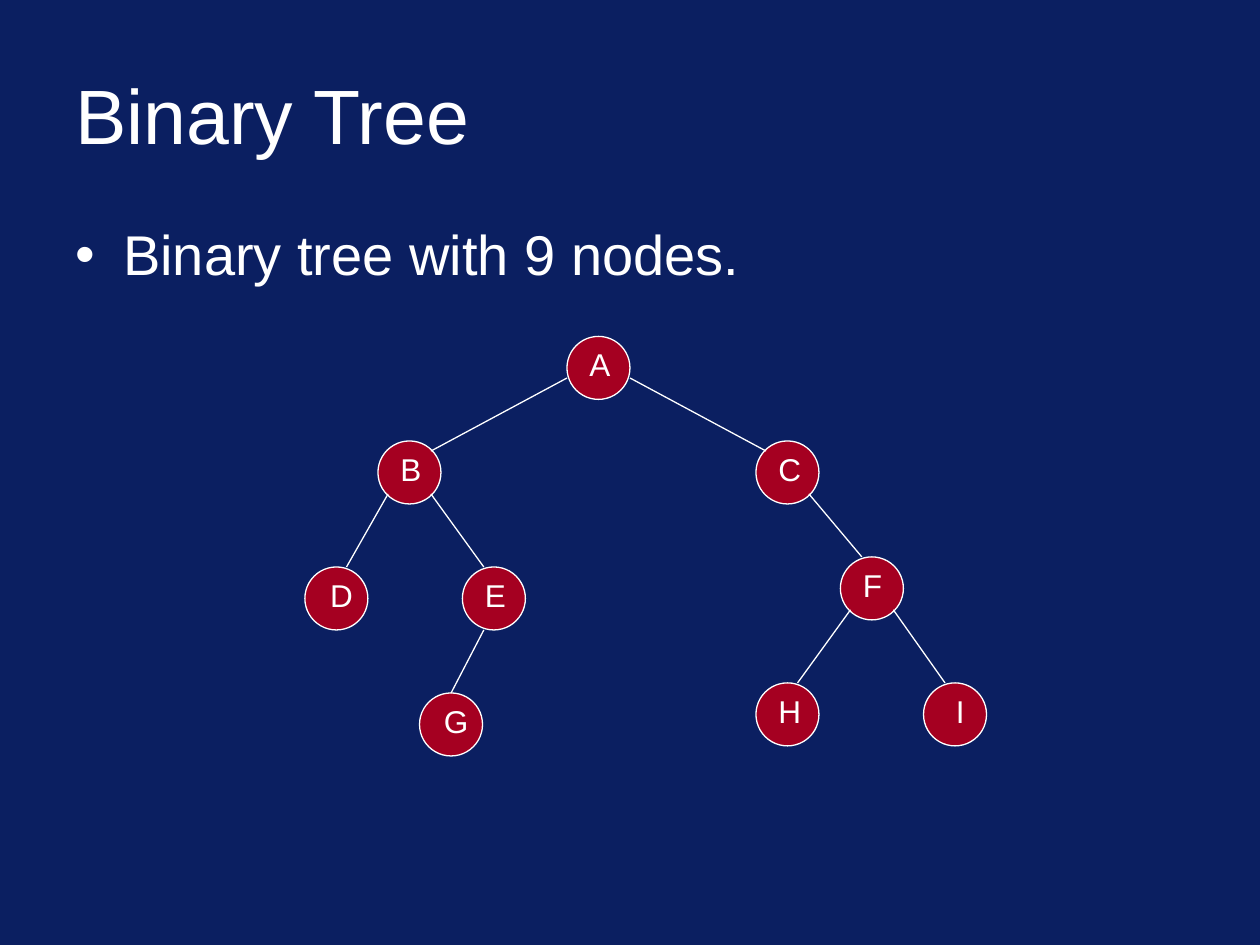
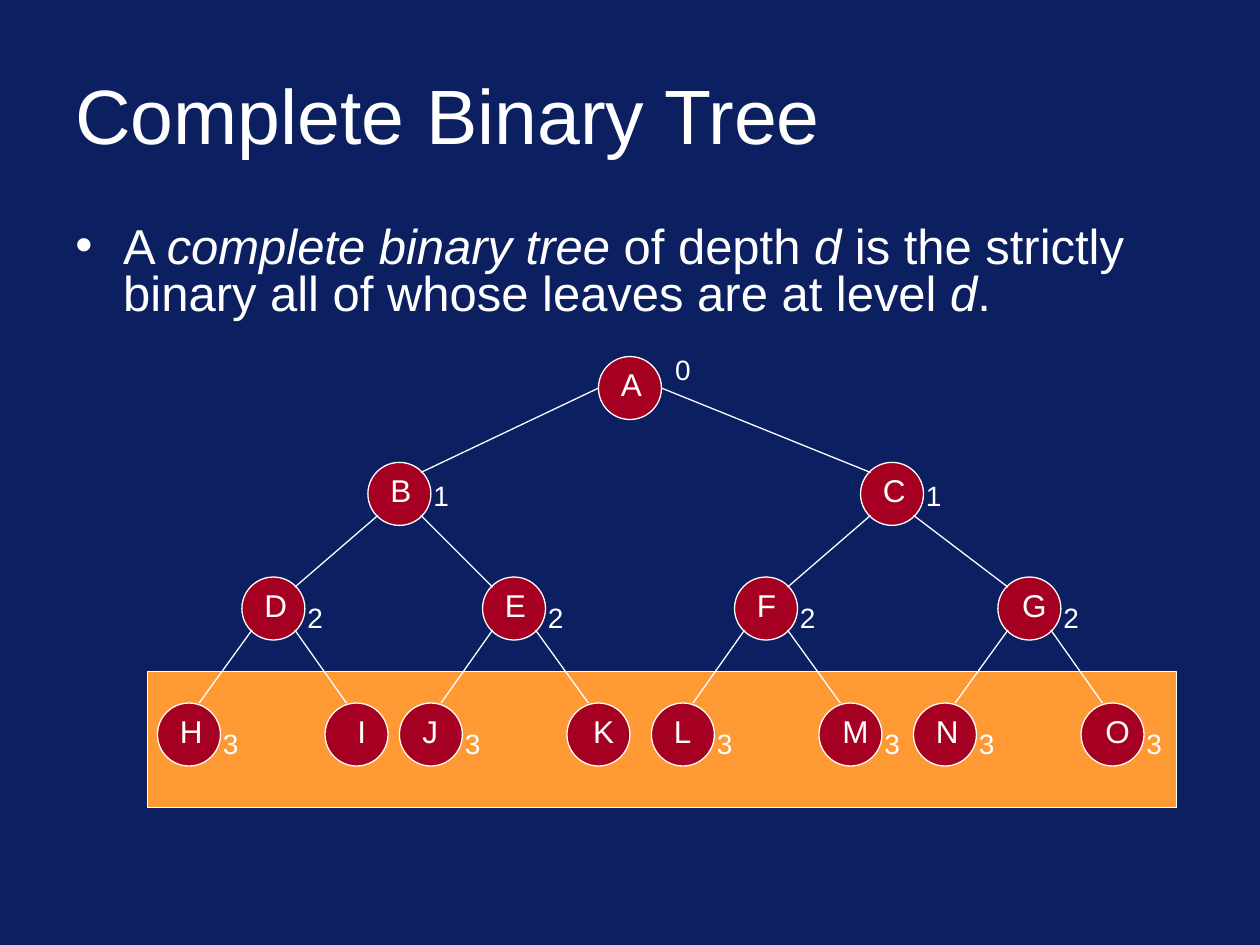
from dataclasses import dataclass

from lxml import etree
from pptx import Presentation
from pptx.dml.color import RGBColor
from pptx.enum.shapes import MSO_CONNECTOR, MSO_SHAPE
from pptx.enum.text import MSO_ANCHOR, MSO_AUTO_SIZE, PP_ALIGN
from pptx.oxml.ns import qn
from pptx.util import Inches, Pt


@dataclass(frozen=True)
class Theme:
    background: RGBColor = RGBColor(0x0B, 0x1F, 0x61)
    ink: RGBColor = RGBColor(0xFF, 0xFF, 0xFF)
    node: RGBColor = RGBColor(0xA5, 0x00, 0x21)
    band: RGBColor = RGBColor(0xFF, 0x99, 0x33)
    font: str = "Arial"
    title_size: int = 44
    letter_size: int = 18
    depth_size: int = 16
    line_width: float = 0.75


THEME = Theme()
NODE_SIZE = 0.5

# Where an edge to a left child leaves its parent and enters the child,
# measured from each node's top left corner; right children mirror it.
SHOULDER = (0.42, 0.08)
FOOT = (0.08, 0.42)
CROWN = (0.33, 0)

# Bullet: runs of (text, italic). Nodes: letter -> (left, top, depth).
# Edges: (parent, child, side).
BINARY_TREE = {
    "title": "Binary Tree",
    "bullet": [("Binary tree with 9 nodes.", False)],
    "bullet_style": {"size": 32, "height": 0.58, "spacing": 0.9, "before": 8},
    "nodes": {
        "A": (4.5, 2.67, 0),
        "B": (3, 3.5, 1), "C": (6, 3.5, 1),
        "D": (2.42, 4.5, 2), "E": (3.67, 4.5, 2), "F": (6.67, 4.42, 2),
        "G": (3.33, 5.5, 3), "H": (6, 5.42, 3), "I": (7.33, 5.42, 3),
    },
    "edges": [
        ("A", "B", "left"), ("A", "C", "right"),
        ("B", "D", "left"), ("B", "E", "right"), ("E", "G", "left"),
        ("C", "F", "right"), ("F", "H", "left"), ("F", "I", "right"),
    ],
    "anchors": [((0, 0.33), SHOULDER), (FOOT, CROWN), (FOOT, CROWN)],
    "special_anchors": {("E", "G"): ((0.17, 0.5), (0.25, 0))},
    "wide_letters": "DGI",
}

# (row top, letters with their lefts), from the root down
COMPLETE_ROWS = [
    (2.83, {"A": 4.75}),
    (3.67, {"B": 2.92, "C": 6.83}),
    (4.58, {"D": 1.92, "E": 3.83, "F": 5.83, "G": 7.92}),
    (5.58, {"H": 1.25, "I": 2.58, "J": 3.17, "K": 4.5,
            "L": 5.17, "M": 6.5, "N": 7.25, "O": 8.58}),
]
COMPLETE_LETTERS = "ABCDEFGHIJKLMNO"

COMPLETE_TREE = {
    "title": "Complete Binary Tree",
    "bullet": [
        ("A ", False), ("complete binary tree", True), (" of depth ", False),
        ("d", True),
        (" is the strictly binary all of whose leaves are at level ", False),
        ("d", True), (".", False),
    ],
    "bullet_style": {"size": 28, "height": 0.92, "spacing": 0.8, "before": 7},
    "leaf_band": (1.17, 5.33, 8.17, 1.08),
    "nodes": {
        letter: (left, top, depth)
        for depth, (top, row) in enumerate(COMPLETE_ROWS)
        for letter, left in row.items()
    },
    "edges": [
        (COMPLETE_LETTERS[(i - 1) // 2], child, "left" if i % 2 else "right")
        for i, child in enumerate(COMPLETE_LETTERS) if i
    ],
    "anchors": [((0, 0.25), SHOULDER), (FOOT, SHOULDER), (FOOT, CROWN)],
    "wide_letters": "GIKMO",
    "depth_labelled": "ABCDEFGHJLMNO",
    "depth_offsets": [(0.51, -0.08), (0.42, 0.08), (0.42, 0.14), (0.42, 0.14)],
}


def style_run(run, size, italic=False):
    run.font.name = THEME.font
    run.font.size = Pt(size)
    run.font.italic = italic
    run.font.color.rgb = THEME.ink


def add_text(slide, box, text, size, wrap=True, align=PP_ALIGN.CENTER,
             auto_size=MSO_AUTO_SIZE.SHAPE_TO_FIT_TEXT):
    frame = slide.shapes.add_textbox(*map(Inches, box)).text_frame
    frame.word_wrap = wrap
    frame.auto_size = auto_size
    frame.text = text
    frame.paragraphs[0].alignment = align
    for run in frame.paragraphs[0].runs:
        style_run(run, size)
    return frame


def add_filled(slide, preset, box, color):
    shape = slide.shapes.add_shape(preset, *map(Inches, box))
    shape.shadow.inherit = False
    shape.fill.solid()
    shape.fill.fore_color.rgb = color
    shape.line.color.rgb = THEME.ink
    shape.line.width = Pt(THEME.line_width)


def add_title(slide, title):
    frame = add_text(slide, (0.5, 0.4, 9, 1), title, THEME.title_size,
                     align=PP_ALIGN.LEFT, auto_size=MSO_AUTO_SIZE.NONE)
    frame.vertical_anchor = MSO_ANCHOR.MIDDLE


def add_bullet(slide, pieces, size, height, spacing, before):
    frame = add_text(slide, (0.5, 1.75, 9, height), "", size,
                     align=PP_ALIGN.LEFT, auto_size=MSO_AUTO_SIZE.NONE)
    paragraph = frame.paragraphs[0]
    paragraph.line_spacing = spacing
    paragraph.space_before = Pt(before)
    for text, italic in pieces:
        run = paragraph.add_run()
        run.text = text
        style_run(run, size, italic)
    properties = paragraph._p.get_or_add_pPr()
    properties.set("marL", str(Inches(0.38)))
    properties.set("indent", str(Inches(-0.38)))
    etree.SubElement(properties, qn("a:buFont"), typeface=THEME.font)
    etree.SubElement(properties, qn("a:buChar"), char="•")


def add_node(slide, letter, left, top, wide):
    add_filled(slide, MSO_SHAPE.OVAL, (left, top, NODE_SIZE, NODE_SIZE),
               THEME.node)
    add_text(slide, (left + 0.08, top + 0.02, 0.42 if wide else 0.33, 0.4),
             letter, THEME.letter_size)


def anchor_point(node, anchor, side):
    left, top, _ = node
    dx, dy = anchor
    if side == "right":
        dx = NODE_SIZE - dx
    return Inches(left + dx), Inches(top + dy)


def add_edge(slide, start, end):
    edge = slide.shapes.add_connector(MSO_CONNECTOR.STRAIGHT, *start, *end)
    edge.line.color.rgb = THEME.ink
    edge.line.width = Pt(THEME.line_width)
    etree.SubElement(edge._element.spPr, qn("a:effectLst"))


def add_tree(slide, tree):
    nodes = tree["nodes"]
    for letter, (left, top, _) in nodes.items():
        add_node(slide, letter, left, top, letter in tree["wide_letters"])
    special = tree.get("special_anchors", {})
    for parent, child, side in tree["edges"]:
        depth = nodes[parent][2]
        leave, enter = special.get((parent, child), tree["anchors"][depth])
        add_edge(slide, anchor_point(nodes[parent], leave, side),
                 anchor_point(nodes[child], enter, side))
    for letter in tree.get("depth_labelled", ""):
        left, top, depth = nodes[letter]
        dx, dy = tree["depth_offsets"][depth]
        add_text(slide, (left + dx, top + dy, 0.32, 0.37), str(depth),
                 THEME.depth_size, wrap=False)


def main():
    deck = Presentation()
    deck.slide_width, deck.slide_height = Inches(10), Inches(7.5)
    backdrop = deck.slide_master.background.fill
    backdrop.solid()
    backdrop.fore_color.rgb = THEME.background
    for tree in (BINARY_TREE, COMPLETE_TREE):
        slide = deck.slides.add_slide(deck.slide_layouts[6])
        if "leaf_band" in tree:
            add_filled(slide, MSO_SHAPE.RECTANGLE, tree["leaf_band"], THEME.band)
        add_title(slide, tree["title"])
        add_bullet(slide, tree["bullet"], **tree["bullet_style"])
        add_tree(slide, tree)
    deck.save("out.pptx")


if __name__ == "__main__":
    main()
